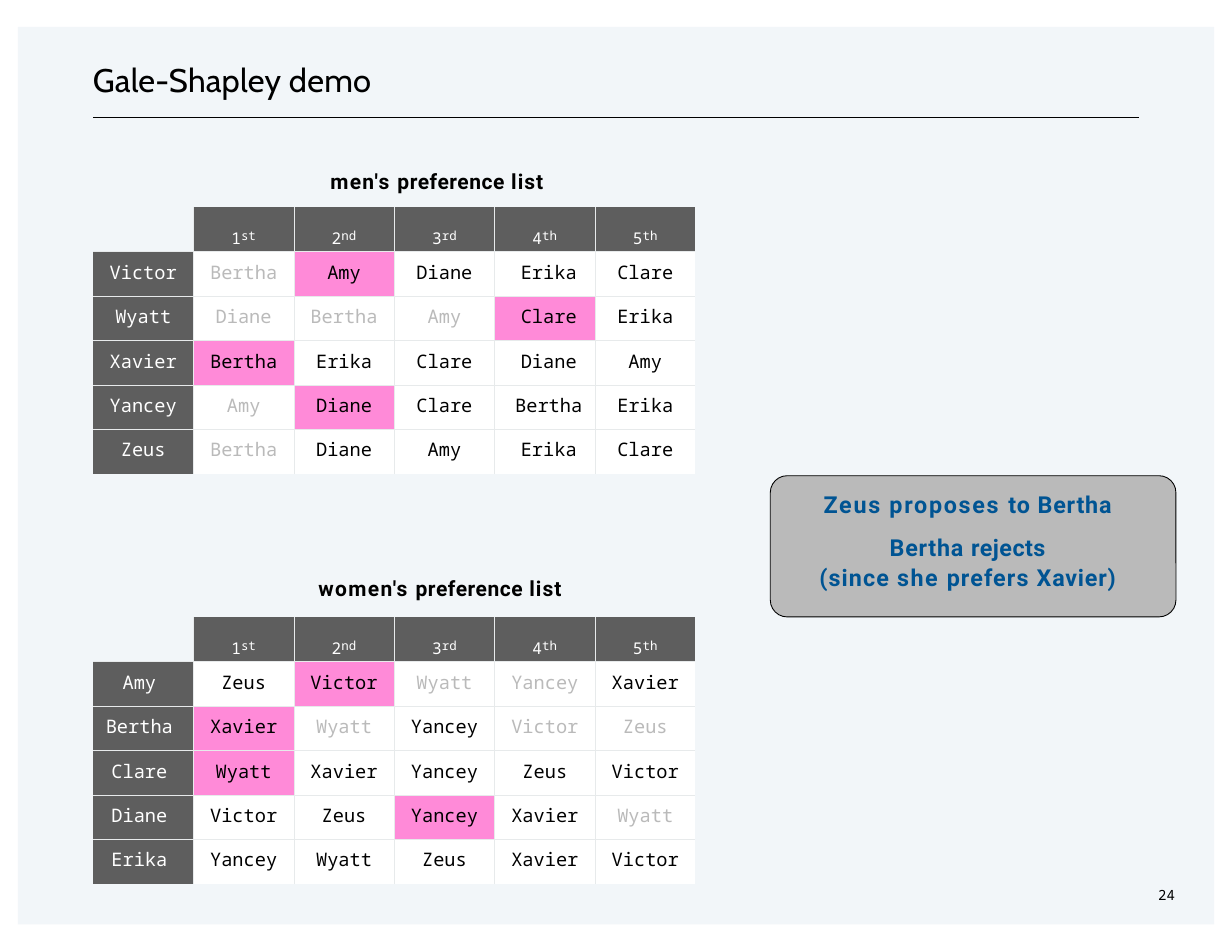
from lxml import etree
from pptx import Presentation
from pptx.dml.color import RGBColor
from pptx.enum.shapes import MSO_CONNECTOR, MSO_SHAPE
from pptx.enum.text import MSO_ANCHOR, PP_ALIGN
from pptx.oxml.ns import qn
from pptx.util import Pt

RECTANGLE, ROUNDED = MSO_SHAPE.RECTANGLE, MSO_SHAPE.ROUNDED_RECTANGLE
STRAIGHT = MSO_CONNECTOR.STRAIGHT
TOP = MSO_ANCHOR.TOP
LEFT, CENTER = PP_ALIGN.LEFT, PP_ALIGN.CENTER

COLORS = {
    "ink": "000000", "blue": "005493", "callout": "BABABA", "rejected": "BABABA",
    "engaged": "FF8AD8", "open": "FFFFFF", "header": "5E5E5E", "header_text": "FFFFFF",
    "corner": "F2F6F9", "grid": "E7EAEB",
}
TITLE_FONT, LABEL_FONT, NAME_FONT = "Cabin", "Roboto", "Noto Sans Mono"

COLUMN_WIDTH, ROW_HEIGHT = 64.55, 28.55
RANKS = [("1", "st"), ("2", "nd"), ("3", "rd"), ("4", "th"), ("5", "th")]

# "-" marks a rejected choice, "*" the current engagement.
MEN = {
    "Victor": "-Bertha *Amy Diane Erika Clare",
    "Wyatt": "-Diane -Bertha -Amy *Clare Erika",
    "Xavier": "*Bertha Erika Clare Diane Amy",
    "Yancey": "-Amy *Diane Clare Bertha Erika",
    "Zeus": "-Bertha Diane Amy Erika Clare",
}
WOMEN = {
    "Amy": "Zeus *Victor -Wyatt -Yancey Xavier",
    "Bertha": "*Xavier -Wyatt Yancey -Victor -Zeus",
    "Clare": "*Wyatt Xavier Yancey Zeus Victor",
    "Diane": "Victor Zeus *Yancey Xavier -Wyatt",
    "Erika": "Yancey Wyatt Zeus Xavier Victor",
}


def rgb(color):
    return RGBColor.from_string(COLORS[color])


def points(*lengths):
    return [Pt(length) for length in lengths]


def set_margins(holder, left=0, top=0, right=0, bottom=0):
    margins = {"margin_left": left, "margin_top": top,
               "margin_right": right, "margin_bottom": bottom}
    for side, length in margins.items():
        setattr(holder, side, Pt(length))


def add_run(paragraph, text, font, size, color, bold=False, spacing=0, baseline=0):
    """Spacing is in points, baseline in percent."""
    run = paragraph.add_run()
    run.text = text
    for key, value in {"name": font, "size": Pt(size), "bold": bold}.items():
        setattr(run.font, key, value)
    run.font.color.rgb = rgb(color)
    for key, value in {"spc": spacing, "baseline": baseline * 10}.items():
        if value:
            run.font._element.set(key, str(round(value * 100)))


def add_label(slide, box, pieces, font, size, bold=False):
    """Place one line made of (text, letter spacing) pieces."""
    frame = slide.shapes.add_textbox(*points(*box)).text_frame
    frame.word_wrap = True
    set_margins(frame, left=0.75, top=0.75)
    for text, spacing in pieces:
        add_run(frame.paragraphs[0], text, font, size, "ink", bold, spacing)


def add_backdrop(slide, box):
    panel = slide.shapes.add_shape(RECTANGLE, *points(*box))
    panel.shadow.inherit = False
    panel.fill.solid()
    panel.fill.fore_color.rgb = rgb("blue")
    tint = panel._element.spPr.find(f"{qn('a:solidFill')}/{qn('a:srgbClr')}")
    etree.SubElement(tint, qn("a:alpha"), val="5000")
    panel.line.fill.background()


def add_heading(slide, box):
    left, top, width, height = box
    add_label(slide, (left, top, 200, 28), [("Gale-Shapley ", 0.1), ("demo", 0.2)],
              TITLE_FONT, 21)
    bottom = top + height
    rule = slide.shapes.add_connector(
        STRAIGHT, *points(left + 1, bottom, left + width, bottom))
    rule.line.width = Pt(0.75)
    rule.line.color.rgb = rgb("ink")
    etree.SubElement(rule._element.spPr, qn("a:effectLst"))


def set_borders(cell, inner_sides):
    """Draw the grid on inner sides only; the outer frame stays open."""
    properties = cell._tc.get_or_add_tcPr()
    for position, side in enumerate("LRTB"):
        border = etree.Element(qn(f"a:ln{side}"), w=str(Pt(0.25)))
        if side in inner_sides:
            fill = etree.SubElement(border, qn("a:solidFill"))
            etree.SubElement(fill, qn("a:srgbClr"), val=COLORS["grid"])
        else:
            etree.SubElement(border, qn("a:noFill"))
        properties.insert(position, border)


def fill_cell(cell, fill, pieces=(), top=5, shift=0):
    """Write centred run settings into a cell, moved sideways by shift points."""
    set_margins(cell, left=max(shift, 0), right=max(-shift, 0), top=top)
    cell.vertical_anchor = TOP
    cell.fill.solid()
    cell.fill.fore_color.rgb = rgb(fill)
    paragraph = cell.text_frame.paragraphs[0]
    paragraph.alignment = CENTER
    for text, size, color, baseline in pieces:
        add_run(paragraph, text, NAME_FONT, size, color, baseline=baseline)


def add_preferences(slide, box, preferences, shifts):
    row_count, column_count = len(preferences) + 1, len(RANKS) + 1
    table = slide.shapes.add_table(row_count, column_count, *points(*box)).table
    for column in table.columns:
        column.width = Pt(COLUMN_WIDTH)
    for row in table.rows:
        row.height = Pt(ROW_HEIGHT)

    fill_cell(table.cell(0, 0), "corner", top=0)
    for column, (number, suffix) in enumerate(RANKS, 1):
        rank = [(number, 18, "header_text", -14), (suffix, 8, "header_text", 0)]
        fill_cell(table.cell(0, column), "header", rank, top=2.2)

    for row, (person, choices) in enumerate(preferences.items(), 1):
        fill_cell(table.cell(row, 0), "header", [(person, 12, "header_text", 0)],
                  shift=shifts.get(0, 0))
        for column, choice in enumerate(choices.split(), 1):
            fill = "engaged" if choice[0] == "*" else "open"
            color = "rejected" if choice[0] == "-" else "ink"
            fill_cell(table.cell(row, column), fill,
                      [(choice.lstrip("*-"), 12, color, 0)], shift=shifts.get(column, 0))

    for row in range(row_count):
        for column in range(column_count):
            inner = {"L": column > 0, "R": column < column_count - 1,
                     "T": row > 0, "B": row < row_count - 1}
            set_borders(table.cell(row, column), [side for side in inner if inner[side]])


def add_callout(slide, box):
    callout = slide.shapes.add_shape(ROUNDED, *points(*box))
    callout.shadow.inherit = False
    callout.adjustments[0] = 0.12
    callout.fill.solid()
    callout.fill.fore_color.rgb = rgb("callout")
    callout.line.color.rgb = rgb("ink")
    callout.line.width = Pt(0.56)
    frame = callout.text_frame
    frame.word_wrap = True
    frame.vertical_anchor = TOP
    set_margins(frame, top=6, right=7)
    lines = [
        (0, [("Zeus proposes ", 1.1), ("to ", 0.6), ("Bertha", 0.5)]),
        (10, [("Bertha ", 0.5), ("rejects", 0.3)]),
        (1, [("(since ", 0.7), ("she ", 1), ("prefers ", 0.7), ("Xavier)", 0.5)]),
    ]
    for index, (space, pieces) in enumerate(lines):
        paragraph = frame.add_paragraph() if index else frame.paragraphs[0]
        paragraph.alignment = CENTER
        paragraph.space_before = Pt(space)
        for text, spacing in pieces:
            add_run(paragraph, text, LABEL_FONT, 15, "blue", True, spacing)


def main():
    deck = Presentation()
    deck.slide_width, deck.slide_height = points(792, 612)
    slide = deck.slides.add_slide(deck.slide_layouts[6])
    add_backdrop(slide, (11.5, 17.3, 769, 577))
    add_heading(slide, (59, 37.5, 673.5, 38.3))

    table_size = (COLUMN_WIDTH * 6, ROW_HEIGHT * 6)
    add_preferences(slide, (59.8, 133.2, *table_size), MEN, {4: 5})
    add_preferences(slide, (59.8, 396.8, *table_size), WOMEN, {0: -5})
    for group, left, top, width in [("men's ", 211.6, 107.5, 148),
                                    ("women's ", 204, 369.2, 168)]:
        pieces = [(group, 0.9), ("preference ", 0.4), ("list", 0.7)]
        add_label(slide, (left, top, width, 18), pieces, LABEL_FONT, 13.5, bold=True)

    add_callout(slide, (495.2, 305.8, 260.8, 90.8))
    add_label(slide, (743.8, 569.2, 16, 13), [("24", 0)], NAME_FONT, 9)
    deck.save("out.pptx")


if __name__ == "__main__":
    main()
